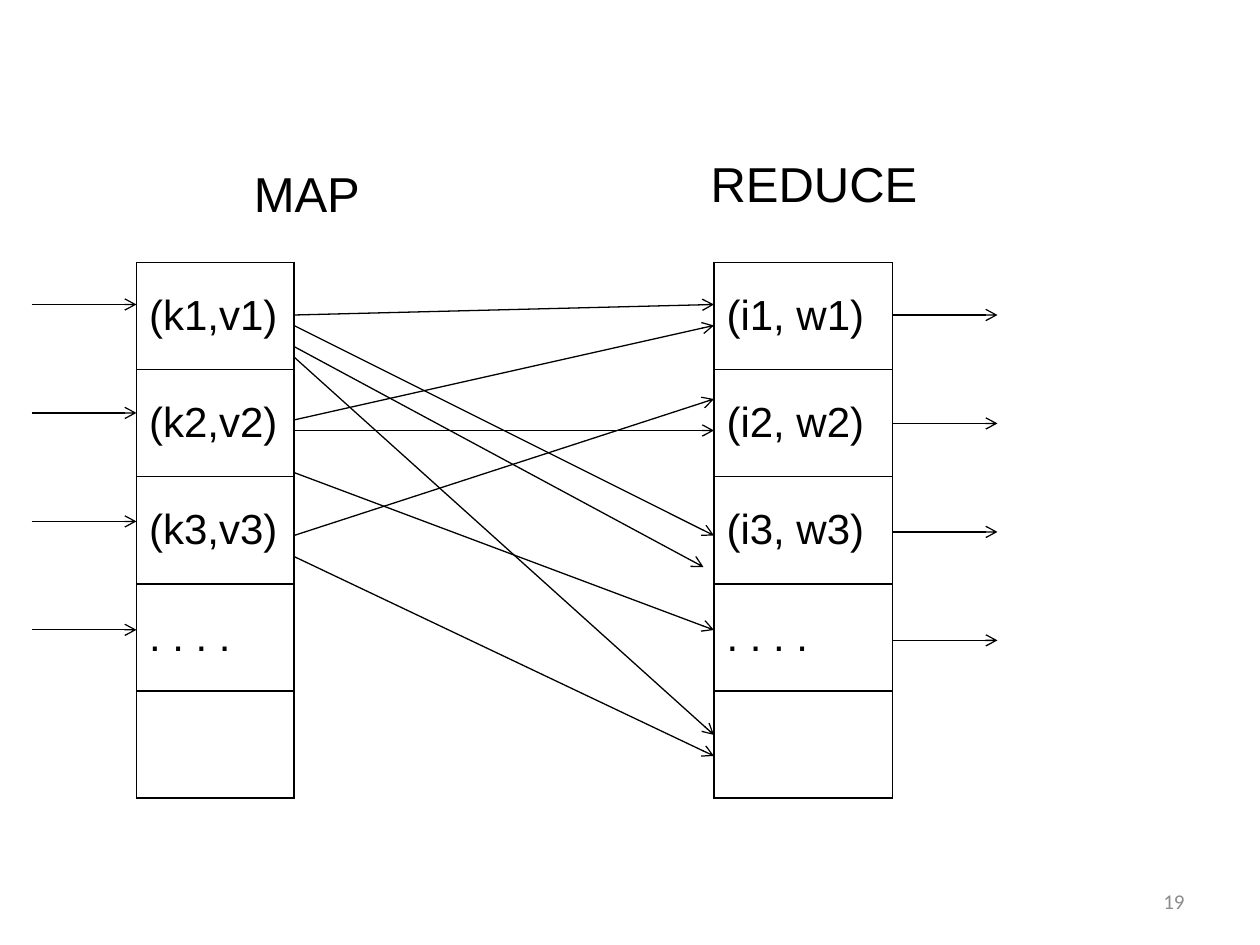
from dataclasses import dataclass

from lxml import etree
from pptx import Presentation
from pptx import util as u
from pptx.dml.color import RGBColor
from pptx.enum import text
from pptx.oxml.ns import qn


@dataclass(frozen=True)
class Theme:
    ink: RGBColor = RGBColor(0, 0, 0)
    muted: RGBColor = RGBColor(0x8C, 0x8C, 0x8C)
    body_font: str = "Arial"
    number_font: str = "Calibri"
    heading_size: int = 28
    cell_size: int = 24
    number_size: int = 12
    border: float = 1
    arrow: float = 0.75


THEME = Theme()

# All lengths are in grid units of a twelfth of an inch.
UNIT = u.Inches(1) // 12
SLIDE_W, SLIDE_H = 120, 90
TABLE_TOP, ROW_H = 25, 10.2

STAGES = [
    {"heading": "MAP", "heading_box": (23, 15, 12.5, 6.86), "left": 13, "width": 15,
     "rows": ["(k1,v1)", "(k2,v2)", "(k3,v3)", ". . . .", ""]},
    {"heading": "REDUCE", "heading_box": (66.5, 14, 22.2, 6.86), "left": 68, "width": 17,
     "rows": ["(i1, w1)", "(i2, w2)", "(i3, w3)", ". . . .", ""]},
]
SLIDE_NUMBER, NUMBER_BOX = "19", (86, 83.4, 28, 4.8)

# Shuffle arrows: height at MAP, height at REDUCE, gap left before REDUCE
SHUFFLE = [(30, 29, 0), (31, 51, 0), (33, 54, 1), (34, 70, 0), (40, 31, 0),
           (41, 41, 0), (45, 60, 0), (51, 38, 0), (53, 72, 0)]
INPUT_TOP, OUTPUT_TOP = 29, 30
FLOW_COUNT, FLOW_STEP, FLOW_LENGTH = 4, 10.33, 10


def grid(*values):
    return [u.Emu(round(value * UNIT)) for value in values]


def style(paragraph, size, color=THEME.ink, font=THEME.body_font):
    paragraph.font.size = u.Pt(size)
    paragraph.font.name = font
    paragraph.font.color.rgb = color


def add_label(slide, box, words):
    frame = slide.shapes.add_textbox(*grid(*box)).text_frame
    frame.text = words
    return frame


def add_borders(cell):
    properties = cell._tc.get_or_add_tcPr()
    for index, side in enumerate(("lnL", "lnR", "lnT", "lnB")):
        line = etree.Element(qn(f"a:{side}"), w=str(u.Pt(THEME.border)))
        fill = etree.SubElement(line, qn("a:solidFill"))
        etree.SubElement(fill, qn("a:srgbClr"), val=str(THEME.ink))
        properties.insert(index, line)


def add_stage(slide, stage):
    heading = add_label(slide, stage["heading_box"], stage["heading"])
    heading.word_wrap = False
    heading.auto_size = text.MSO_AUTO_SIZE.SHAPE_TO_FIT_TEXT
    style(heading.paragraphs[0], THEME.heading_size)

    rows = stage["rows"]
    table = slide.shapes.add_table(
        len(rows), 1,
        *grid(stage["left"], TABLE_TOP, stage["width"], ROW_H * len(rows))).table
    table.first_row = table.horz_banding = False
    for row, words in zip(table.rows, rows):
        cell = row.cells[0]
        cell.text = words
        cell.vertical_anchor = text.MSO_ANCHOR.MIDDLE
        cell.fill.background()
        add_borders(cell)
        style(cell.text_frame.paragraphs[0], THEME.cell_size)


def add_arrow(slide, x1, y1, x2, y2):
    arrow = slide.shapes.add_connector(1, *grid(x1, y1, x2, y2))
    arrow.line.color.rgb = THEME.ink
    arrow.line.width = u.Pt(THEME.arrow)
    etree.SubElement(arrow.line._get_or_add_ln(), qn("a:tailEnd"), type="arrow")
    etree.SubElement(arrow._element.spPr, qn("a:effectLst"))


def main():
    deck = Presentation()
    deck.slide_width, deck.slide_height = grid(SLIDE_W, SLIDE_H)
    slide = deck.slides.add_slide(deck.slide_layouts[6])

    for stage in STAGES:
        add_stage(slide, stage)

    mapper, reducer = STAGES
    map_right = mapper["left"] + mapper["width"]
    reduce_right = reducer["left"] + reducer["width"]
    for start, end, gap in SHUFFLE:
        add_arrow(slide, map_right, start, reducer["left"] - gap, end)
    for left, top in ((mapper["left"] - FLOW_LENGTH, INPUT_TOP),
                      (reduce_right, OUTPUT_TOP)):
        for index in range(FLOW_COUNT):
            y = top + index * FLOW_STEP
            add_arrow(slide, left, y, left + FLOW_LENGTH, y)

    number = add_label(slide, NUMBER_BOX, SLIDE_NUMBER)
    number.word_wrap = True
    number.vertical_anchor = text.MSO_ANCHOR.MIDDLE
    number.paragraphs[0].alignment = text.PP_ALIGN.RIGHT
    style(number.paragraphs[0], THEME.number_size, THEME.muted, THEME.number_font)

    deck.save("out.pptx")


if __name__ == "__main__":
    main()
